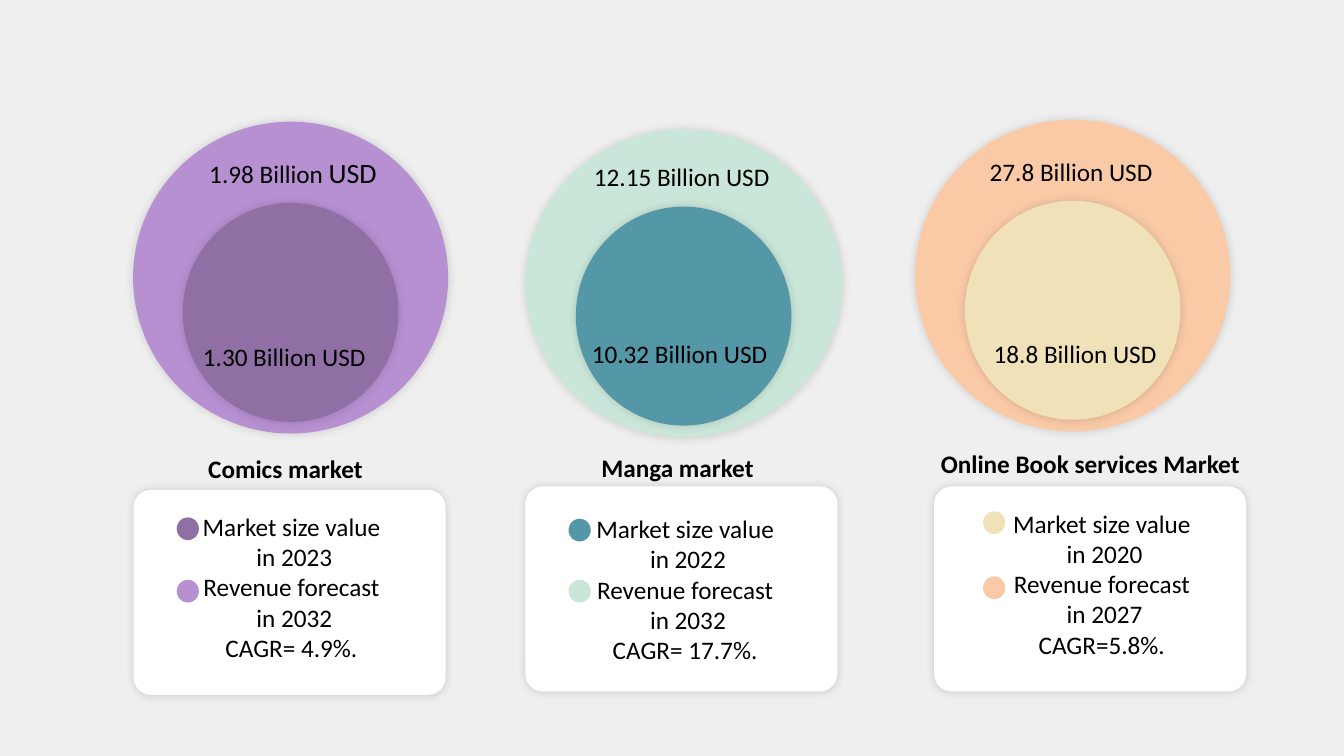
from dataclasses import dataclass
from typing import NamedTuple

from lxml.etree import SubElement
from pptx import Presentation
from pptx.dml.color import RGBColor
from pptx.enum.shapes import MSO_SHAPE
from pptx.enum.text import MSO_AUTO_SIZE, PP_ALIGN
from pptx.oxml.ns import qn
from pptx.util import Cm, Pt


@dataclass(frozen=True)
class Theme:
    font: str = "Calibri"
    text_size: float = 27
    large_size: float = 30
    text: str = "000000"
    background: str = "EFEFEF"
    card: str = "FFFFFF"
    shadow_blur: float = 10


class Box(NamedTuple):
    """Left, top, width and height in centimetres."""
    left: float
    top: float
    width: float
    height: float

    def lengths(self) -> list:
        return [Cm(value) for value in self]


class Label(NamedTuple):
    text: str
    box: Box


@dataclass(frozen=True)
class Market:
    name: Label
    forecast: Label
    value: Label
    forecast_color: str
    value_color: str
    circle: Box
    card: tuple[float, float]
    notes: tuple[float, float]
    dot_left: float
    dot_tops: tuple[float, float]
    years: tuple[int, int]
    growth: str
    large_unit: bool = False


THEME = Theme()
INNER_WIDTH, INNER_HEIGHT, INNER_GAP = 8.15, 8.28, 0.44
CARD_SIZE = (11.79, 7.75)
NOTES_SIZE = (11.81, 6.02)
DOT_SIZE = (0.84, 0.86)
LINE = 1.42

MARKETS = [
    Market(
        name=Label("Comics market", Box(7.62, 17.02, 6.4, LINE)),
        forecast=Label("1.98 Billion USD", Box(7.62, 5.74, 6.91, 1.55)),
        value=Label("1.30 Billion USD", Box(7.42, 12.78, 6.73, LINE)),
        forecast_color="B790D2", value_color="906FA5",
        circle=Box(5.03, 4.6, 11.91, 11.79),
        card=(5.05, 18.52), notes=(5.11, 19.2),
        dot_left=6.68, dot_tops=(19.56, 21.92),
        years=(2023, 2032), growth="CAGR= 4.9%.", large_unit=True,
    ),
    Market(
        name=Label("Manga market", Box(22.48, 16.97, 6.32, LINE)),
        forecast=Label("12.15 Billion USD", Box(22.2, 5.97, 7.26, LINE)),
        value=Label("10.32 Billion USD", Box(22.12, 12.67, 7.26, LINE)),
        forecast_color="CAE6D8", value_color="5498A8",
        circle=Box(19.86, 4.9, 11.96, 11.63),
        card=(19.86, 18.39), notes=(19.99, 19.28),
        dot_left=21.49, dot_tops=(19.61, 21.92),
        years=(2022, 2032), growth="CAGR= 17.7%.",
    ),
    Market(
        name=Label("Online Book services Market", Box(35.31, 16.84, 11.94, LINE)),
        forecast=Label("27.8 Billion USD", Box(37.16, 5.79, 6.78, LINE)),
        value=Label("18.8 Billion USD", Box(37.31, 12.67, 6.78, LINE)),
        forecast_color="FACAA7", value_color="F0E1B8",
        circle=Box(34.59, 4.52, 11.91, 11.79),
        card=(35.31, 18.39), notes=(35.74, 19.08),
        dot_left=37.16, dot_tops=(19.33, 21.79),
        years=(2020, 2027), growth="CAGR=5.8%.",
    ),
]


def add_filled(page, kind, box: Box, color: str, shadow_percent: int = 0):
    """Draw a borderless shape, with a soft halo when a strength is given."""
    shape = page.shapes.add_shape(kind, *box.lengths())
    shape.fill.solid()
    shape.fill.fore_color.rgb = RGBColor.from_string(color)
    shape.line.fill.background()
    shape.shadow.inherit = False
    if shadow_percent:
        effects = shape._element.spPr.find(qn("a:effectLst"))
        shadow = SubElement(effects, qn("a:outerShdw"),
                            blurRad=str(Pt(THEME.shadow_blur)), dist="0", dir="0",
                            algn="ctr", rotWithShape="0")
        black = SubElement(shadow, qn("a:srgbClr"), val="000000")
        SubElement(black, qn("a:alpha"), val=str(shadow_percent * 1000))
    return shape


def format_span(span, bold: bool = False, size: float = THEME.text_size) -> None:
    span.font.name = THEME.font
    span.font.size = Pt(size)
    span.font.bold = bold
    span.font.color.rgb = RGBColor.from_string(THEME.text)


def add_text(page, text: str, box: Box, wrap: bool = False,
             centred: bool = False, bold: bool = False):
    frame = page.shapes.add_textbox(*box.lengths()).text_frame
    frame.text = text
    frame.word_wrap = wrap
    frame.auto_size = MSO_AUTO_SIZE.SHAPE_TO_FIT_TEXT
    for para in frame.paragraphs:
        para.alignment = PP_ALIGN.CENTER if centred else PP_ALIGN.LEFT
        for span in para.runs:
            format_span(span, bold)
    return frame


def draw_circles(page, market: Market) -> None:
    """Nest the current value in the forecast, near its lower edge."""
    outer = market.circle
    inner = Box(outer.left + (outer.width - INNER_WIDTH) / 2,
                outer.top + outer.height - INNER_HEIGHT - INNER_GAP,
                INNER_WIDTH, INNER_HEIGHT)
    add_filled(page, MSO_SHAPE.OVAL, outer, market.forecast_color, 14)
    add_filled(page, MSO_SHAPE.OVAL, inner, market.value_color, 14)
    add_text(page, *market.value)

    text, box = market.forecast
    if market.large_unit:
        amount, unit = text.rsplit(" ", 1)
        frame = add_text(page, amount + " ", box, centred=True)
        span = frame.paragraphs[0].add_run()
        span.text = unit
        format_span(span, size=THEME.large_size)
    else:
        add_text(page, text, box)


def draw_card(page, market: Market) -> None:
    """Draw the heading, the card, its notes and the colour key."""
    card = add_filled(page, MSO_SHAPE.ROUNDED_RECTANGLE,
                      Box(*market.card, *CARD_SIZE), THEME.card, 15)
    card.adjustments[0] = 0.085
    add_text(page, *market.name, bold=True)

    value_year, forecast_year = market.years
    notes = "\n".join(["Market size value", f" in {value_year}",
                       "Revenue forecast", f" in {forecast_year}", market.growth])
    add_text(page, notes, Box(*market.notes, *NOTES_SIZE), wrap=True, centred=True)

    for top, color in zip(market.dot_tops, (market.value_color, market.forecast_color)):
        add_filled(page, MSO_SHAPE.OVAL, Box(market.dot_left, top, *DOT_SIZE), color)


def main() -> None:
    deck = Presentation()
    deck.slide_width, deck.slide_height = Cm(50.8), Cm(28.58)
    page = deck.slides.add_slide(deck.slide_layouts[6])
    page.background.fill.solid()
    page.background.fill.fore_color.rgb = RGBColor.from_string(THEME.background)

    for market in MARKETS:
        draw_circles(page, market)
        draw_card(page, market)

    deck.save("out.pptx")


if __name__ == "__main__":
    main()
